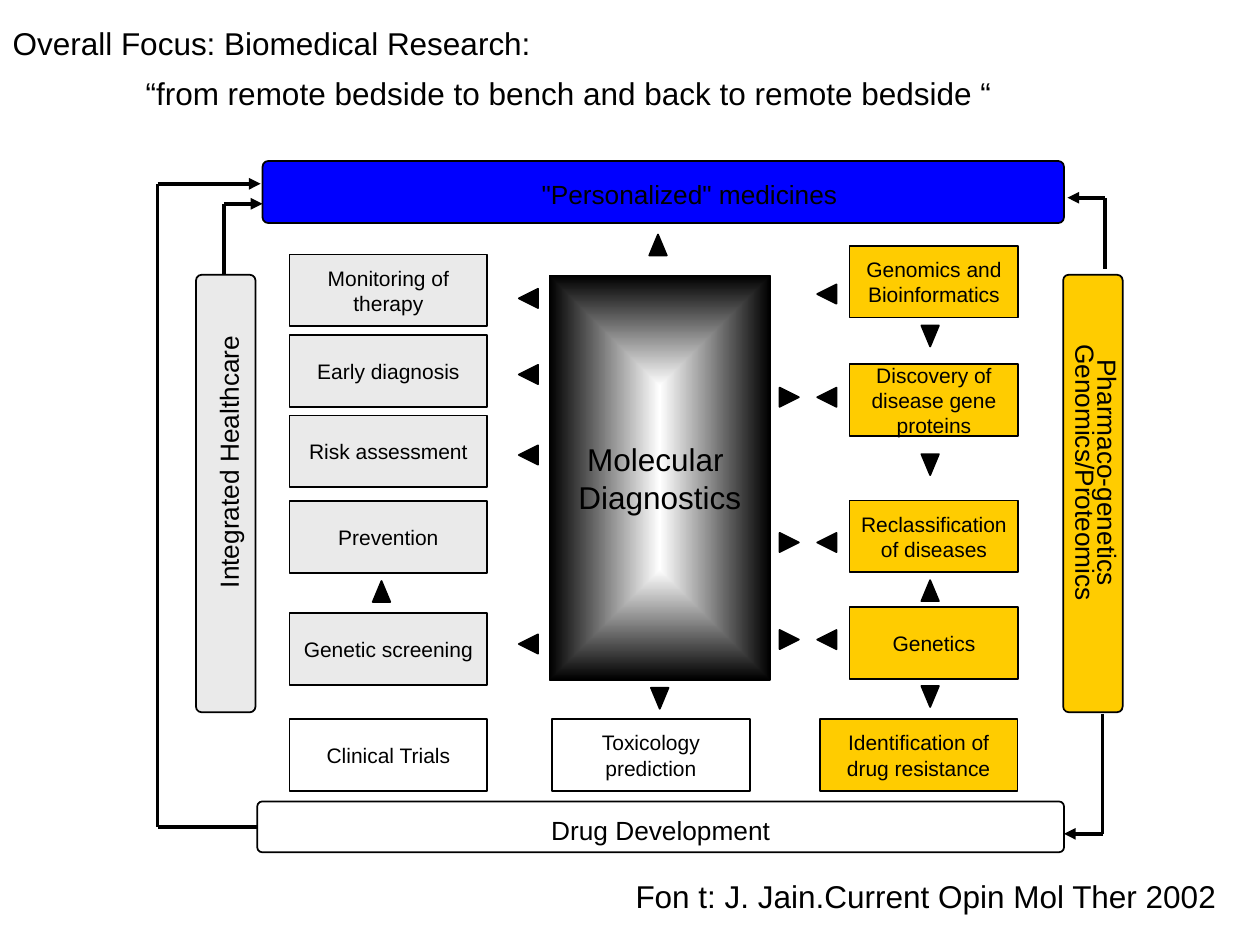
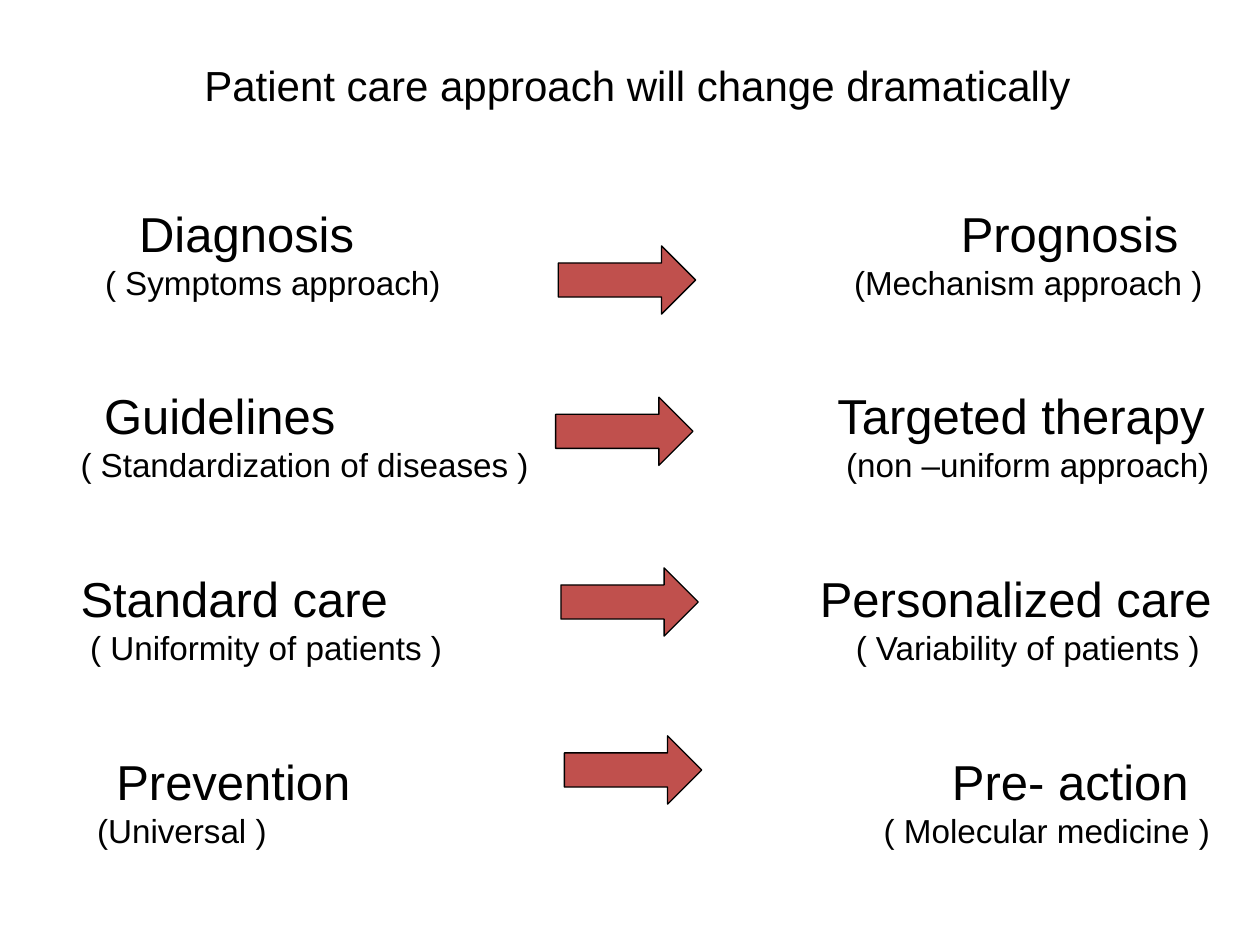
from lxml.etree import SubElement
from pptx import Presentation
from pptx.dml.color import RGBColor
from pptx.enum.shapes import MSO_CONNECTOR, MSO_SHAPE
from pptx.enum.text import MSO_ANCHOR, MSO_AUTO_SIZE, PP_ALIGN
from pptx.oxml.ns import qn
from pptx.util import Pt

HUES = {"ink": "000000", "blue": "0000FF", "gold": "FFCC00",
        "gray": "EAEAEA", "white": "FFFFFF", "red": "C0504D"}
FONT = "Arial"
UP, RIGHT, DOWN, LEFT = 0, 90, 180, 270


def tint(name):
    return RGBColor.from_string(HUES[name])


def set_frame(frame, pads=(0, 0, 0, 0), anchor=MSO_ANCHOR.MIDDLE):
    frame.word_wrap = True
    frame.auto_size = MSO_AUTO_SIZE.NONE
    frame.vertical_anchor = anchor
    (frame.margin_left, frame.margin_top,
     frame.margin_right, frame.margin_bottom) = map(Pt, pads)


def write(frame, lines, align=PP_ALIGN.CENTER, pitch=1.0):
    """Fill a frame with lines of (text, size, indent, space before)."""
    for at, (text, size, indent, gap) in enumerate(lines):
        para = frame.paragraphs[0] if at == 0 else frame.add_paragraph()
        para.alignment = align
        para.line_spacing = pitch
        para.space_before = Pt(gap)
        props = para._p.get_or_add_pPr()
        props.set("marL", str(Pt(indent)))
        props.set("indent", "0")
        SubElement(props, qn("a:buNone"))
        run = para.add_run()
        run.text = text
        run.font.name = FONT
        run.font.size = Pt(size)
        run.font.color.rgb = tint("ink")


def place(holder, box):
    holder.left, holder.top, holder.width, holder.height = map(Pt, box)


def add_form(slide, kind, box, fill=None, width=1):
    form = slide.shapes.add_shape(kind, *map(Pt, box))
    form.shadow.inherit = False
    if fill:
        form.fill.solid()
        form.fill.fore_color.rgb = tint(fill)
    else:
        form.fill.background()
    form.line.color.rgb = tint("ink")
    form.line.width = Pt(width)
    return form


def add_title(slide, box, lines, align, pads=(0, 0, 0, 0)):
    title = slide.shapes.title
    place(title, box)
    set_frame(title.text_frame, pads)
    write(title.text_frame, lines, align)


def add_card(slide, box, fill, lines, size=12):
    card = add_form(slide, MSO_SHAPE.RECTANGLE, box, fill)
    set_frame(card.text_frame, (5.76, 2.88, 5.76, 2.88))
    write(card.text_frame, [(line, size, 0, 0) for line in lines])
    return card


def add_bar(slide, box, fill, lines, turn=0, pads=(0, 0, 0, 0), pitch=1.0):
    """Add a rounded bar; box is the space it takes up once turned."""
    x, y, w, h = box
    if turn:
        x, y, w, h = x + (w - h) / 2, y + (h - w) / 2, h, w
    bar = add_form(slide, MSO_SHAPE.ROUNDED_RECTANGLE, (x, y, w, h), fill)
    bar.adjustments[0] = 0.095
    bar.rotation = turn
    set_frame(bar.text_frame, pads)
    write(bar.text_frame, [(line, 15, 0, 0) for line in lines], pitch=pitch)
    return bar


def add_mark(slide, x, y, turn):
    """Add a small black triangle centred on a point."""
    w, h = (10, 12) if turn in (UP, DOWN) else (11, 11)
    mark = add_form(slide, MSO_SHAPE.FLOWCHART_EXTRACT,
                    (x - w / 2, y - h / 2, w, h), "ink")
    mark.rotation = turn


def add_route(slide, points):
    """Join points by lines, the last with an arrowhead; return the first."""
    parts = []
    for start, end in zip(points, points[1:]):
        line = slide.shapes.add_connector(
            MSO_CONNECTOR.STRAIGHT, *map(Pt, start + end))
        line.line.color.rgb = tint("ink")
        line.line.width = Pt(2.25)
        SubElement(line._element.spPr, qn("a:effectLst"))
        parts.append(line)
    SubElement(parts[-1].line._get_or_add_ln(), qn("a:tailEnd"), type="triangle")
    return parts[0]


def draw_ring(slide, box):
    """Draw the four outer bars and the routes between them."""
    x, y, w, h = box
    add_bar(slide, (x + 60, y, 458, 35.5), "blue",
            ['"Personalized" medicines'], pads=(30, 2, 0, 0))
    drug = add_bar(slide, (x + 57, y + h - 30, 461, 29), None,
                   ["Drug Development"], pads=(0, 4, 0, 0))
    add_bar(slide, (x + 22, y + 65, 34, 250), "gray",
            ["Integrated Healthcare"], LEFT, (36, 3, 0, 0))
    add_bar(slide, (x + 517.5, y + 65, 34, 250), "gold",
            ["Pharmaco-genetics", "Genomics/Proteomics"], RIGHT,
            (0, 0, 24, 0), 0.7)
    routes = [
        [(57, 380.5), (0, 380.5), (0, 13), (59, 13)],
        [(38, 65), (38, 24.5), (60, 24.5)],
        [(540, 316), (540, 384.5), (518, 384.5)],
        [(541.5, 61.5), (541.5, 21), (520, 21)],
    ]
    firsts = [add_route(slide, [(x + dx, y + dy) for dx, dy in route])
              for route in routes]
    firsts[0].begin_connect(drug, 1)


def draw_stack(slide, box, fill, rows):
    """Draw a column of cards, each at its drop below the box top."""
    x, y, w, h = box
    for drop, text in rows:
        add_card(slide, (x, y + drop, w, h), fill, [text])


def draw_care(slide, box):
    x, y, w, h = box
    draw_stack(slide, box, "gray", [
        (0, "Monitoring of therapy"), (46, "Early diagnosis"),
        (92, "Risk assessment"), (141, "Prevention"),
        (205, "Genetic screening")])
    for drop in (25, 68.5, 114.5, 222.5):
        add_mark(slide, x + w + 23.5, y + drop, LEFT)
    add_mark(slide, x + 52.5, y + 192.5, UP)


def draw_genes(slide, box):
    x, y, w, h = box
    draw_stack(slide, box, "gold", [
        (0, "Genomics and Bioinformatics"),
        (67.5, "Discovery of disease gene proteins"),
        (145.5, "Reclassification of diseases"), (206.5, "Genetics")])
    drops = (27.5, 86.5, 169.5, 225)
    for drop in drops:
        add_mark(slide, x - 13, y + drop, LEFT)
    for drop in drops[1:]:
        add_mark(slide, x - 34.5, y + drop, RIGHT)
    for drop, turn in ((51.5, DOWN), (125, DOWN), (197, UP), (257.5, DOWN)):
        add_mark(slide, x + 46, y + drop, turn)


def draw_core(slide, box):
    x, y, w, h = box
    core = add_card(slide, box, "white", ["Molecular ", "Diagnostics"], 18)
    core.fill.gradient()
    for stop, hue in zip(core.fill.gradient_stops, ("white", "ink")):
        stop.color.rgb = tint(hue)
    grad = core._element.spPr.find(qn("a:gradFill"))
    grad.remove(grad.find(qn("a:lin")))
    shade = SubElement(grad, qn("a:path"), path="shape")
    SubElement(shade, qn("a:fillToRect"),
               dict.fromkeys("ltrb", "50000"))
    add_mark(slide, x + w / 2 - 1, y - 17.5, UP)
    add_mark(slide, x + w / 2, y + h + 10.5, DOWN)


def draw_tests(slide, box):
    x, y, w, h = box
    for shift, fill, text in ((0, "white", "Clinical Trials"),
                              (150, "white", "Toxicology prediction"),
                              (303, "gold", "Identification of drug resistance")):
        add_card(slide, (x + shift, y, w, h), fill, [text])


def draw_source(slide, box):
    note = slide.shapes.add_textbox(*map(Pt, box))
    set_frame(note.text_frame, anchor=MSO_ANCHOR.BOTTOM)
    write(note.text_frame,
          [("Fon t: J. Jain.Current Opin Mol Ther 2002", 18, 0, 0)],
          PP_ALIGN.RIGHT, 0.95)


def focus_slide(deck):
    slide = deck.slides.add_slide(deck.slide_layouts[5])
    add_title(slide, (0, 0, 720, 78), [
        ("Overall Focus: Biomedical Research:", 18, 0, 0),
        ("“from remote bedside to bench and back to remote bedside “",
         18, 76, 7)], PP_ALIGN.LEFT, (7.2, 3.6, 7.2, 3.6))
    draw_ring(slide, (90, 92, 542, 396))
    draw_care(slide, (165.5, 145.5, 113, 41))
    draw_genes(slide, (485.5, 140.5, 96.5, 41))
    draw_core(slide, (314, 157.5, 126, 231))
    draw_tests(slide, (165.5, 411, 113, 41))
    draw_source(slide, (363, 500, 332, 23.5))


def fill_side(holder, box, pairs):
    """Fill a list with pairs of a head and a note, each (text, indent)."""
    place(holder, box)
    set_frame(holder.text_frame, anchor=MSO_ANCHOR.TOP)
    lines = []
    for at, ((head, inset), (note, shift)) in enumerate(pairs):
        lines += [(head, 28, inset, 48 if at else 0), (note, 19, shift, 0)]
    write(holder.text_frame, lines, PP_ALIGN.LEFT)


def draw_arrows(slide, box, spots):
    x, y, w, h = box
    for dx, dy in spots:
        arrow = add_form(slide, MSO_SHAPE.RIGHT_ARROW,
                         (x + dx, y + dy, w, h), "red", 0.75)
        arrow.adjustments[0] = arrow.adjustments[1] = 0.5


def change_slide(deck):
    slide = deck.slides.add_slide(deck.slide_layouts[3])
    add_title(slide, (28, 34, 672.5, 29),
              [("Patient care approach will change dramatically", 24, 0, 0)],
              PP_ALIGN.CENTER)
    now, next_up = slide.placeholders[1], slide.placeholders[2]
    fill_side(now, (46, 116, 265, 362), [
        (("Diagnosis", 33.5), ("( Symptoms approach)", 14)),
        (("Guidelines", 13.5), ("( Standardization of diseases )", 0)),
        (("Standard care", 0), ("( Uniformity of patients )", 5.5)),
        (("Prevention", 20.5), ("(Universal )", 9.5))])
    fill_side(next_up, (468, 116, 245, 362), [
        (("Prognosis", 81), ("(Mechanism approach )", 20)),
        (("Targeted therapy", 10.5), ("(non –uniform approach)", 15.5)),
        (("Personalized care", 0.5), ("( Variability of patients )", 21)),
        (("Pre- action", 76), ("( Molecular medicine )", 37))])
    draw_arrows(slide, (317.5, 140.5, 78.5, 39),
                [(1.5, 0), (0, 86.5), (3, 184), (5, 280)])


def main():
    deck = Presentation()
    deck.slide_width, deck.slide_height = Pt(720), Pt(540)
    focus_slide(deck)
    change_slide(deck)
    deck.save("out.pptx")


if __name__ == "__main__":
    main()
